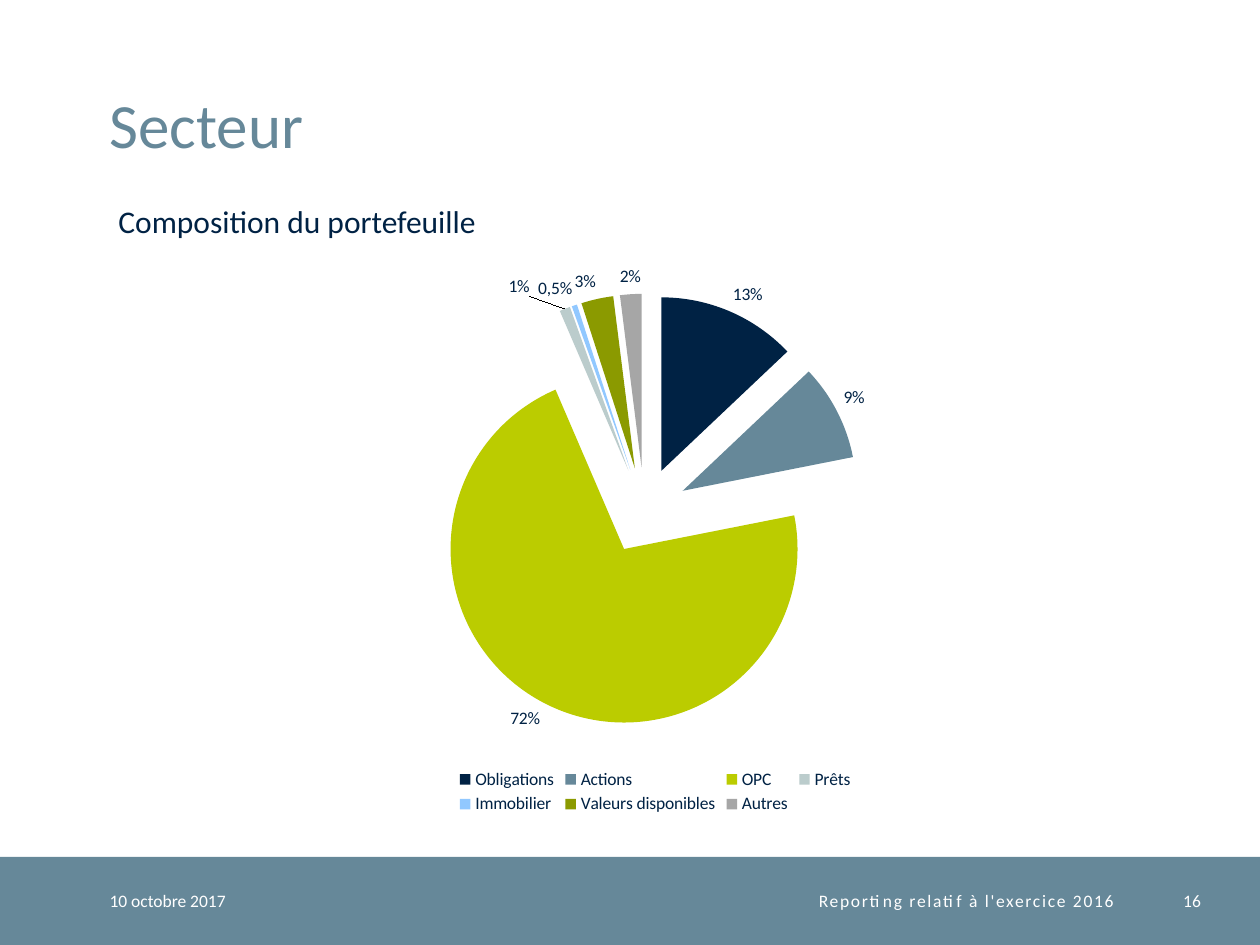
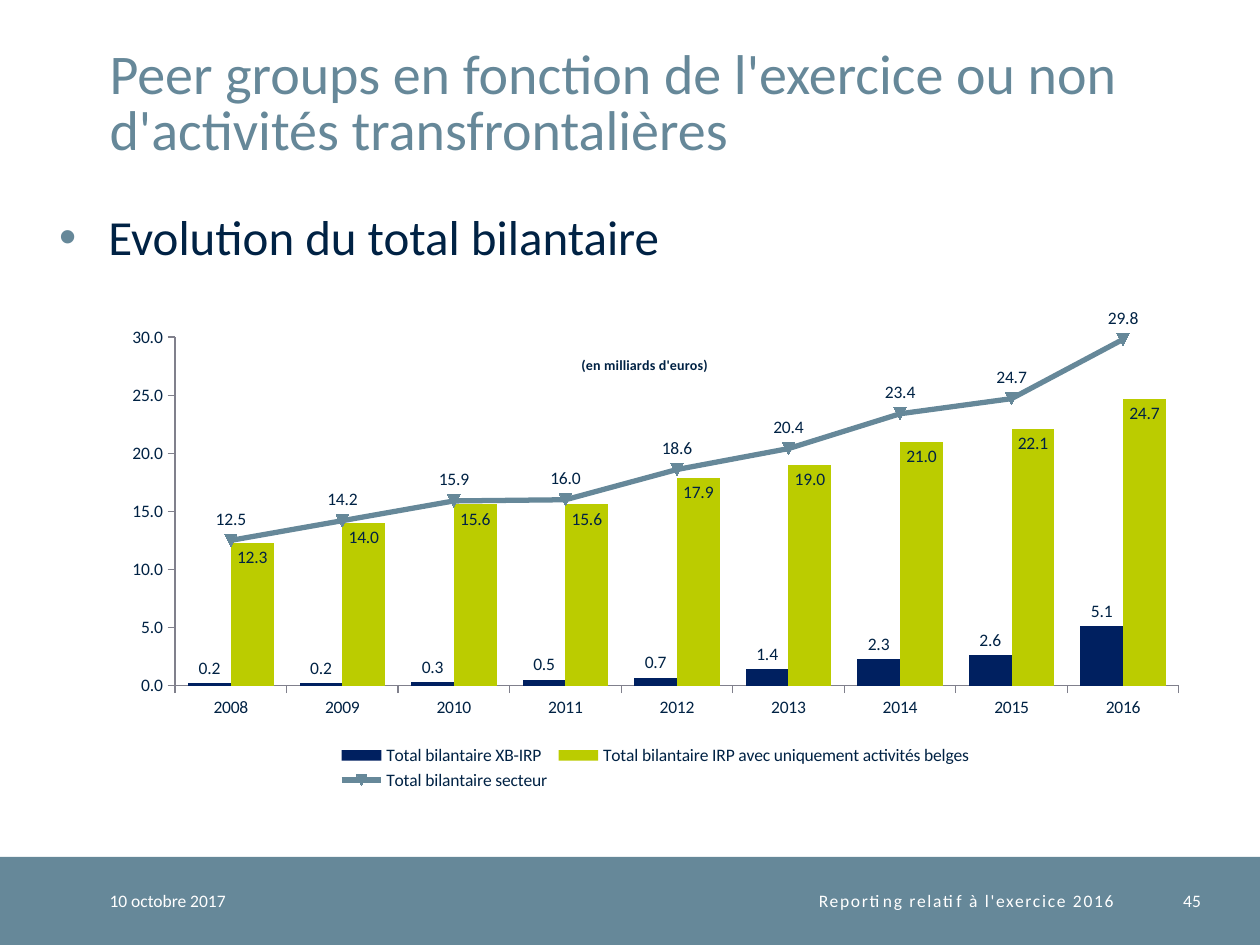
from pptx import Presentation
from pptx.chart.data import CategoryChartData
from pptx.dml.color import RGBColor
from pptx.enum.chart import XL_CHART_TYPE as ChartType, XL_LABEL_POSITION as LabelPosition
from pptx.enum.chart import XL_LEGEND_POSITION as LegendPosition, XL_MARKER_STYLE as MarkerStyle
from pptx.enum.shapes import MSO_SHAPE as Shape
from pptx.enum.text import MSO_ANCHOR as Anchor, PP_ALIGN as Align
from pptx.oxml import parse_xml
from pptx.oxml.ns import nsdecls, qn
from pptx.util import Emu, Pt

PX = 9144  # 100 px to the inch
FONT = "Calibri"
NAVY, SLATE, LIME, WHITE = "002244", "668899", "BBCC00", "FFFFFF"
DEEP_BLUE, AXIS_GREY = "002060", "80808C"
SECTOR_COLORS = [NAVY, SLATE, LIME, "BBCCCC", "91C8FF", "8B9A00", "A6A6A6"]


def color(hex_string):
    return RGBColor.from_string(hex_string)


def paint(fill, hex_string):
    fill.solid()
    fill.fore_color.rgb = color(hex_string)


def set_font(font, size, hex_string, bold=False):
    font.name, font.size, font.bold = FONT, Pt(size), bold
    font.color.rgb = color(hex_string)


def drop_children(parent, tag):
    for child in parent.findall(qn(tag)):
        parent.remove(child)


def manual_layout(x, y, width=None, height=None, from_edge=True):
    """Chart layout in fractions of the chart, from its edge or as an offset."""
    parts = ['<c:layoutTarget val="inner"/>'] if width else []
    if from_edge:
        parts.append('<c:xMode val="edge"/><c:yMode val="edge"/>')
    sizes = {"x": x, "y": y, "w": width, "h": height}
    parts += [f'<c:{key} val="{value}"/>' for key, value in sizes.items() if value is not None]
    return parse_xml(f'<c:layout {nsdecls("c")}><c:manualLayout>{"".join(parts)}'
                     "</c:manualLayout></c:layout>")


def show_values(series, position, number_format):
    labels = series.data_labels
    labels.show_value = True
    labels.position = position
    labels.number_format, labels.number_format_is_linked = number_format, False
    set_font(labels.font, 10, NAVY)


class Deck:
    def __init__(self):
        self.presentation = Presentation()
        self.presentation.slide_width = Emu(1000 * PX)
        self.presentation.slide_height = Emu(750 * PX)
        self.slide = None

    def place(self, *box):
        return [Emu(length * PX) for length in box]

    def text(self, content, box, size, hex_string, anchor=Anchor.TOP, align=Align.LEFT, leading=None):
        shape = self.slide.shapes.add_textbox(*self.place(*box))
        frame = shape.text_frame
        frame.word_wrap, frame.vertical_anchor = True, anchor
        frame.margin_left = frame.margin_right = frame.margin_top = frame.margin_bottom = 0
        paragraph = frame.paragraphs[0]
        paragraph.text, paragraph.alignment = content, align
        set_font(paragraph.font, size, hex_string)
        if leading:
            paragraph.line_spacing = Pt(leading)
        return paragraph

    def bullet(self, content, box, size, leading):
        paragraph = self.text(content, box, size, NAVY, leading=leading)
        paragraph.space_after = Pt(6)
        properties = paragraph._p.get_or_add_pPr()
        properties.set("marL", str(39 * PX))
        properties.set("indent", str(-39 * PX))
        marks = (f'<a:buClr {nsdecls("a")}><a:srgbClr val="{SLATE}"/></a:buClr>',
                 f'<a:buFont {nsdecls("a")} typeface="Arial"/>',
                 f'<a:buChar {nsdecls("a")} char="•"/>')
        for offset, mark in enumerate(marks, 2):  # after line spacing and space after
            properties.insert(offset, parse_xml(mark))

    def footer(self, number):
        band = self.slide.shapes.add_shape(Shape.RECTANGLE, *self.place(0, 680, 1000, 70))
        band.shadow.inherit = False
        paint(band.fill, SLATE)
        band.line.fill.background()
        self.text("10 octobre 2017", (87, 680, 177, 70), 10, WHITE, Anchor.MIDDLE)
        report = self.text("Reporting relatif à l'exercice 2016", (264, 680, 620, 70), 10, WHITE,
                           Anchor.MIDDLE, Align.RIGHT)
        report.runs[0]._r.get_or_add_rPr().set("spc", "100")
        self.text(str(number), (904, 680, 49, 70), 10, WHITE, Anchor.MIDDLE, Align.RIGHT)

    def new_slide(self, title, title_size, number):
        self.slide = self.presentation.slides.add_slide(self.presentation.slide_layouts[6])
        self.footer(number)
        self.text(title, (87, 20, 863, 108), title_size, SLATE, Anchor.BOTTOM, leading=32)

    def chart(self, kind, box, categories, series, number_format, plot_layout):
        data = CategoryChartData(number_format=number_format)
        data.categories = categories
        for name, values in series.items():
            data.add_series(name, values)
        chart = self.slide.shapes.add_chart(kind, *self.place(*box), data).chart
        set_font(chart.font, 10, NAVY)
        chart.has_title = False
        chart.has_legend = True
        chart.legend.position = LegendPosition.BOTTOM
        chart.legend.include_in_layout = False
        plot_area = chart.element.find(".//" + qn("c:plotArea"))
        drop_children(plot_area, "c:layout")
        plot_area.insert(0, manual_layout(*plot_layout))
        return chart

    def pie_chart(self, box, sectors, plot_layout):
        chart = self.chart(ChartType.PIE, box, list(sectors), {"Series 1": list(sectors.values())},
                           "0%", plot_layout)
        chart.plots[0].vary_by_categories = True
        series = chart.plots[0].series[0]
        for index, hex_string in enumerate(SECTOR_COLORS):
            paint(series.points[index].format.fill, hex_string)
        # Pull every slice out by the same share
        slices = [point.find(qn("c:idx")) for point in series._element.findall(qn("c:dPt"))]
        for anchor in [series._element.find(qn("c:tx")), *slices]:
            anchor.addnext(parse_xml(f'<c:explosion {nsdecls("c")} val="25"/>'))
        show_values(series, LabelPosition.OUTSIDE_END, "0%")
        return chart, series

    def column_line_chart(self, box, years, series, plot_layout):
        """Clustered columns, with the last series drawn as a line."""
        chart = self.chart(ChartType.COLUMN_CLUSTERED, box, years, series, "0.0", plot_layout)
        columns = chart.element.find(".//" + qn("c:barChart"))
        line_series = columns.findall(qn("c:ser"))[-1]
        drop_children(line_series, "c:invertIfNegative")
        line = parse_xml(f'<c:lineChart {nsdecls("c")}><c:grouping val="standard"/>'
                         '<c:varyColors val="0"/><c:marker val="1"/></c:lineChart>')
        line.insert(2, line_series)
        for axis in columns.findall(qn("c:axId")):
            line.append(parse_xml(f'<c:axId {nsdecls("c")} val="{axis.get("val")}"/>'))
        columns.addnext(line)
        chart.plots[0].gap_width, chart.plots[0].overlap = 61, 0
        chart.plots[0].vary_by_categories = False
        for axis in (chart.category_axis, chart.value_axis):
            axis.has_major_gridlines = False
            axis.format.line.color.rgb = color(AXIS_GREY)
            set_font(axis.tick_labels.font, 10, NAVY)
        values = chart.value_axis
        values.minimum_scale, values.maximum_scale, values.major_unit = 0, 30, 5
        values.tick_labels.number_format = "0.0"
        values.tick_labels.number_format_is_linked = False
        return chart

    def chart_title(self, chart, content, x, y):
        frame = chart.chart_title.text_frame
        frame.text = content
        set_font(frame.paragraphs[0].font, 8, NAVY, bold=True)
        title = chart.element.find(".//" + qn("c:title"))
        drop_children(title, "c:layout")
        title.find(qn("c:tx")).addnext(manual_layout(x, y))


def sector_slide(deck):
    deck.new_slide("Secteur", 36, 16)
    deck.text("Composition du portefeuille", (94, 160, 366, 30), 18, NAVY)
    sectors = {"Obligations": 0.13, "Actions": 0.09, "OPC": 0.72, "Prêts": 0.01,
               "Immobilier": 0.005, "Valeurs disponibles": 0.03, "Autres": 0.02}
    chart, series = deck.pie_chart((87, 197, 866, 453), sectors, (0.29, 0.08, 0.4, 0.76))
    # Labels of the two thinnest slices
    loans, property_share = series.points[3].data_label, series.points[4].data_label
    loans.position = LabelPosition.OUTSIDE_END
    label = chart.element.find(".//" + qn("c:dLbl"))
    label.find(qn("c:idx")).addnext(manual_layout(-0.03, -0.01, from_edge=False))
    property_share.text_frame.text = "0,5%"
    set_font(property_share.text_frame.paragraphs[0].font, 10, NAVY)
    property_share.position = LabelPosition.OUTSIDE_END


def peer_group_slide(deck):
    deck.new_slide("Peer groups en fonction de l'exercice ou non d'activités transfrontalières", 32, 45)
    deck.bullet("Evolution du total bilantaire", (47, 168, 903, 463), 28, 30.8)
    totals = {
        "Total bilantaire XB-IRP": [0.2, 0.2, 0.3, 0.5, 0.7, 1.4, 2.3, 2.6, 5.1],
        "Total bilantaire IRP avec uniquement activités belges":
            [12.3, 14.0, 15.6, 15.6, 17.9, 19.0, 21.0, 22.1, 24.7],
        "Total bilantaire secteur": [12.5, 14.2, 15.9, 16.0, 18.6, 20.4, 23.4, 24.7, 29.8],
    }
    years = [str(year) for year in range(2008, 2017)]
    chart = deck.column_line_chart((87, 218, 866, 413), years, totals, (0.06, 0.12, 0.92, 0.67))
    deck.chart_title(chart, "(en milliards d'euros)", 0.43, 0.15)
    # Columns
    cross_border, belgian = chart.plots[0].series
    paint(cross_border.format.fill, DEEP_BLUE)
    paint(belgian.format.fill, LIME)
    show_values(cross_border, LabelPosition.OUTSIDE_END, "#,##0.0")
    show_values(belgian, LabelPosition.INSIDE_END, "0.0")
    # Line
    sector = chart.plots[1].series[0]
    sector.smooth = False
    sector.format.line.color.rgb = color(SLATE)
    sector.format.line.width = Pt(3)
    sector.marker.style, sector.marker.size = MarkerStyle.AUTOMATIC, 7
    paint(sector.marker.format.fill, SLATE)
    sector.marker.format.line.color.rgb = color(SLATE)
    show_values(sector, LabelPosition.ABOVE, "0.0")


def main():
    deck = Deck()
    sector_slide(deck)
    peer_group_slide(deck)
    deck.presentation.save("out.pptx")


if __name__ == "__main__":
    main()
